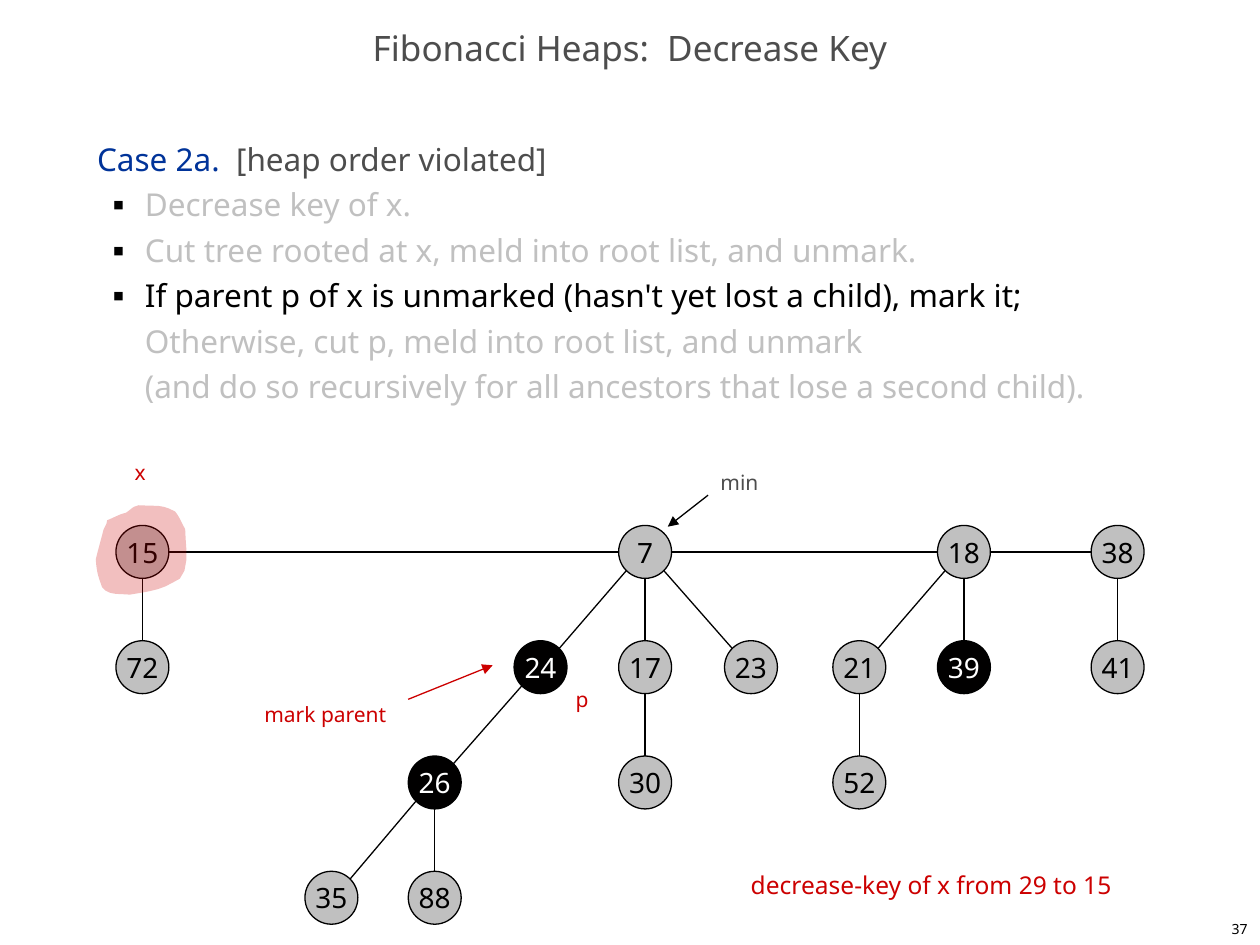
"""Build the Fibonacci heap decrease-key slide."""
from math import hypot

from lxml import etree
from pptx import Presentation
from pptx.dml.color import RGBColor
from pptx.enum.shapes import MSO_CONNECTOR, MSO_SHAPE
from pptx.enum.text import MSO_ANCHOR, MSO_AUTO_SIZE, PP_ALIGN
from pptx.oxml.ns import qn
from pptx.util import Inches, Pt

STRAIGHT, OVAL = MSO_CONNECTOR.STRAIGHT, MSO_SHAPE.OVAL
TOP, MIDDLE = MSO_ANCHOR.TOP, MSO_ANCHOR.MIDDLE
NO_FIT, FIT_SHAPE = MSO_AUTO_SIZE.NONE, MSO_AUTO_SIZE.SHAPE_TO_FIT_TEXT
LEFT, CENTER, RIGHT = PP_ALIGN.LEFT, PP_ALIGN.CENTER, PP_ALIGN.RIGHT

FONT = "Noto Sans"
BLACK, WHITE, GRAY, DARK = "000000", "FFFFFF", "C0C0C0", "4D4D4D"
RED, BLUE, MARKED = "CC0000", "003399", "010000"

RADIUS = 0.21
FIRST_ROW, ROW_STEP = 4.38, 0.915
NODES = {  # key: (centre x, row)
    "15": (1.13, 0), "7": (5.12, 0), "18": (7.65, 0), "38": (8.87, 0),
    "72": (1.13, 1), "24": (4.29, 1), "17": (5.12, 1), "23": (5.96, 1),
    "21": (6.82, 1), "39": (7.65, 1), "41": (8.87, 1),
    "26": (3.45, 2), "30": (5.12, 2), "52": (6.82, 2),
    "35": (2.63, 3), "88": (3.45, 3),
}
MARKED_KEYS = ("24", "26", "39")
EDGES = [
    ("15", "7"), ("7", "18"), ("18", "38"), ("15", "72"), ("7", "24"),
    ("7", "17"), ("7", "23"), ("24", "26"), ("26", "35"), ("26", "88"),
    ("17", "30"), ("18", "21"), ("18", "39"), ("21", "52"), ("38", "41"),
]
LABELS = [
    ("x", (0.97, 3.6, 0.3, 0.3), 12, RED),
    ("min", (5.62, 3.68, 0.5, 0.3), 12, DARK),
    ("p", (4.47, 5.4, 0.3, 0.3), 12, RED),
    ("mark parent", (2, 5.52, 1.17, 0.3), 12, RED),
    ("decrease-key of x from 29 to 15", (5.86, 6.86, 3.84, 0.34), 14, RED),
]
HIGHLIGHT_START = (0.85, 4.13)
HIGHLIGHT_CURVES = [
    ((0.9, 4.11), (0.95, 4.08), (1, 4.07)),
    ((1.07, 4.02), (1.04, 4.03), (1.1, 4.01)),
    ((1.25, 4.02), (1.28, 4), (1.39, 4.06)),
    ((1.43, 4.11), (1.44, 4.15), (1.47, 4.2)),
    ((1.47, 4.33), (1.53, 4.59), (1.36, 4.63)),
    ((1.26, 4.69), (1.14, 4.7), (1.03, 4.72)),
    ((0.95, 4.71), (0.86, 4.73), (0.81, 4.66)),
    ((0.78, 4.57), (0.77, 4.56), (0.76, 4.44)),
    ((0.78, 4.36), (0.8, 4.29), (0.82, 4.21)),
    ((0.83, 4.18), (0.85, 4.16), HIGHLIGHT_START),
]
BODY = [
    [("Case 2a.  ", BLUE), ("[heap order violated]", DARK)],
    [("Decrease key of x.", GRAY)],
    [("Cut tree rooted at x, meld into root list, and unmark.", GRAY)],
    [("If parent p of x is unmarked (hasn't yet lost a child), mark it;\n", BLACK),
     ("Otherwise, cut p, meld into root list, and unmark\n", GRAY),
     ("(and do so recursively for all ancestors that lose a second child).", GRAY)],
]


def color(value):
    """Turn a hex string into a colour."""
    return RGBColor.from_string(value)


def write(paragraph, text, size=18, fill=BLACK, align=LEFT, spacing=None):
    """Add formatted text to a paragraph, breaking lines at newlines."""
    paragraph.alignment = align
    if spacing:
        paragraph.line_spacing = spacing
    for number, line in enumerate(text.split("\n")):
        if number:
            paragraph.add_line_break()
        if line:
            run = paragraph.add_run()
            run.text = line
            run.font.name, run.font.size = FONT, Pt(size)
            run.font.color.rgb = color(fill)


def place(shape, left, top, width, height):
    """Move and size a shape in inches."""
    shape.left, shape.top = Inches(left), Inches(top)
    shape.width, shape.height = Inches(width), Inches(height)


def add_label(slide, text, box, anchor=TOP, fit=FIT_SHAPE, **text_format):
    """Add an unwrapped text box."""
    frame = slide.shapes.add_textbox(*map(Inches, box)).text_frame
    frame.word_wrap, frame.vertical_anchor, frame.auto_size = False, anchor, fit
    write(frame.paragraphs[0], text, **text_format)


def add_title(slide, text):
    """Fill the title placeholder."""
    title = slide.shapes.title
    place(title, 0, 0.17, 10, 0.5)
    title.text_frame.vertical_anchor = MIDDLE
    title.text_frame.auto_size = NO_FIT
    write(title.text_frame.paragraphs[0], text, size=20, fill=DARK, align=CENTER, spacing=0.7)


def set_bullet(paragraph, bulleted):
    """Give a paragraph a small square bullet or none."""
    properties = paragraph._p.get_or_add_pPr()
    properties.set("marL", str(Inches(0.38 if bulleted else 0)))
    properties.set("indent", str(Inches(-0.25 if bulleted else 0)))
    if not bulleted:
        etree.SubElement(properties, qn("a:buNone"))
        return
    bullet_color = etree.SubElement(properties, qn("a:buClr"))
    etree.SubElement(bullet_color, qn("a:srgbClr"), val=BLACK)
    etree.SubElement(properties, qn("a:buSzPct"), val="35000")
    etree.SubElement(properties, qn("a:buFont"), typeface=FONT)
    etree.SubElement(properties, qn("a:buChar"), char="■")


def add_body(slide, items):
    """Fill the body placeholder with a heading and bulleted items."""
    body = slide.placeholders[1]
    place(body, 0.67, 1, 8.58, 5.92)
    frame = body.text_frame
    frame.auto_size = NO_FIT
    for number, runs in enumerate(items):
        paragraph = frame.add_paragraph() if number else frame.paragraphs[0]
        paragraph.level = min(number, 1)
        paragraph.space_before = Pt(0)
        for text, fill in runs:
            write(paragraph, text, fill=fill, spacing=Pt(26))
        set_bullet(paragraph, number > 0)


def center(key):
    """Return the centre of a node."""
    x, row = NODES[key]
    return x, FIRST_ROW + row * ROW_STEP


def add_node(slide, key):
    """Add one heap node."""
    x, y = center(key)
    box = (x - RADIUS, y - RADIUS, 2 * RADIUS, 2 * RADIUS)
    node = slide.shapes.add_shape(OVAL, *map(Inches, box))
    marked = key in MARKED_KEYS
    node.shadow.inherit = False
    node.fill.solid()
    node.fill.fore_color.rgb = color(MARKED if marked else GRAY)
    node.line.color.rgb, node.line.width = color(BLACK), Pt(0.75)
    frame = node.text_frame
    frame.word_wrap, frame.vertical_anchor = False, MIDDLE
    write(frame.paragraphs[0], key, size=16, fill=WHITE if marked else BLACK, align=CENTER)


def add_line(slide, start, end, fill=BLACK, arrow=False):
    """Add a straight line, with an arrowhead at its end if asked."""
    line = slide.shapes.add_connector(STRAIGHT, *map(Inches, (*start, *end)))
    line.line.color.rgb, line.line.width = color(fill), Pt(0.75)
    if arrow:
        etree.SubElement(line.line._get_or_add_ln(), qn("a:tailEnd"), type="triangle")
    etree.SubElement(line._element.spPr, qn("a:effectLst"))


def add_edge(slide, first, second):
    """Join two nodes at the nearest of their eight rim points."""
    (x1, y1), (x2, y2) = center(first), center(second)
    across, down = (x2 > x1) - (x2 < x1), (y2 > y1) - (y2 < y1)
    reach = RADIUS / hypot(across, down)
    dx, dy = across * reach, down * reach
    add_line(slide, (x1 + dx, y1 + dy), (x2 - dx, y2 - dy))


def curve_points(start, curves, steps=6):
    """Sample points along a chain of cubic curves."""
    points = []
    for first, second, end in curves:
        for step in range(1, steps + 1):
            t = step / steps
            u = 1 - t
            points.append(tuple(
                Inches(u**3 * a + 3 * u * u * t * b + 3 * u * t * t * c + t**3 * d)
                for a, b, c, d in zip(start, first, second, end)))
        start = end
    return points


def add_highlight(slide):
    """Add the translucent blob over the changed node."""
    builder = slide.shapes.build_freeform(*map(Inches, HIGHLIGHT_START))
    builder.add_line_segments(curve_points(HIGHLIGHT_START, HIGHLIGHT_CURVES))
    blob = builder.convert_to_shape()
    blob.shadow.inherit = False
    blob.fill.solid()
    blob.fill.fore_color.rgb = color(RED)
    blob.line.fill.background()
    rgb = blob._element.spPr.find(qn("a:solidFill")).find(qn("a:srgbClr"))
    etree.SubElement(rgb, qn("a:alpha"), val="25000")


def main():
    """Build and save the slide."""
    presentation = Presentation()
    presentation.slide_width, presentation.slide_height = Inches(10), Inches(7.5)
    slide = presentation.slides.add_slide(presentation.slide_layouts[1])
    add_title(slide, "Fibonacci Heaps:  Decrease Key")
    add_body(slide, BODY)
    for first, second in EDGES:
        add_edge(slide, first, second)
    for key in NODES:
        add_node(slide, key)
    add_highlight(slide)
    for text, box, size, fill in LABELS:
        add_label(slide, text, box, size=size, fill=fill)
    add_line(slide, (5.62, 3.93), (5.3, 4.18), arrow=True)
    add_line(slide, (3.24, 5.55), (3.91, 5.28), fill=RED, arrow=True)
    add_label(slide, "37", (7.92, 7.25, 2.08, 0.25), MIDDLE, NO_FIT, size=8, align=RIGHT)
    presentation.save("out.pptx")


if __name__ == "__main__":
    main()
